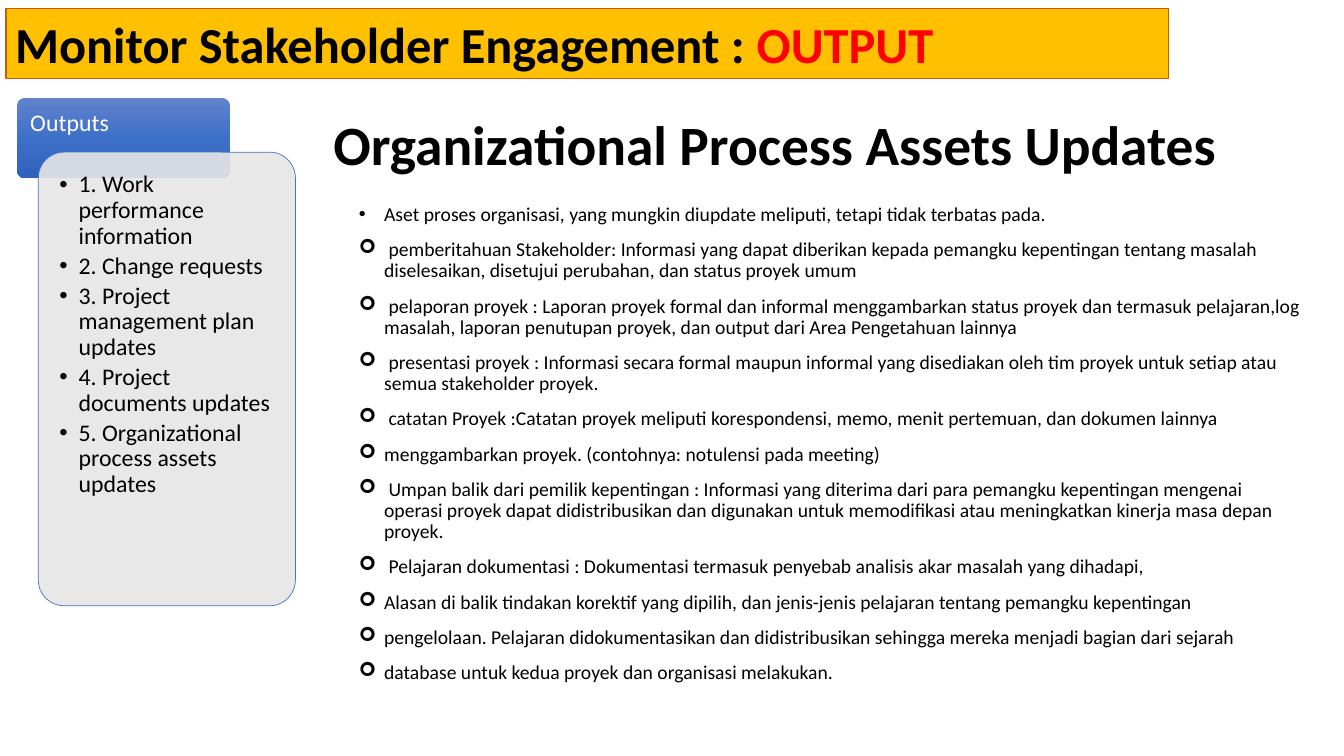
from copy import deepcopy
from dataclasses import dataclass, field
from typing import Any

from lxml import etree
from pptx import Presentation
from pptx.dml.color import RGBColor
from pptx.enum.shapes import MSO_SHAPE
from pptx.enum.text import MSO_ANCHOR, PP_ALIGN
from pptx.oxml.ns import qn
from pptx.util import Inches, Pt

RECT, ROUND = MSO_SHAPE.RECTANGLE, MSO_SHAPE.ROUNDED_RECTANGLE
TOP, MIDDLE = MSO_ANCHOR.TOP, MSO_ANCHOR.MIDDLE
LEFT, CENTER = PP_ALIGN.LEFT, PP_ALIGN.CENTER


@dataclass(frozen=True)
class Theme:
    face: str = "Calibri"
    ink: str = "000000"
    pale: str = "FFFFFF"
    alert: str = "FF0000"
    gold: str = "FFC000"
    rust: str = "C55A11"
    grey: str = "E7E6E6"
    blue: str = "4472C4"
    fade: tuple = ("6183CB", "3E70CA", "3062BB")
    banner: float = 36
    title: float = 39.6
    list: float = 17
    body: float = 14


THEME = Theme()
Box = tuple[float, float, float, float]


@dataclass(frozen=True)
class Panel:
    box: Box
    kind: Any
    fill: str | tuple
    line: str | None = None
    width: float = 0.75
    alpha: int = 100


@dataclass(frozen=True)
class Run:
    text: str
    color: str = THEME.ink


@dataclass(frozen=True)
class Para:
    runs: tuple[Run, ...]
    mark: str = ""


@dataclass(frozen=True)
class Block:
    box: Box
    inset: Box
    paras: list[Para]
    size: float
    bold: bool = False
    indent: float = 0
    before: float = 0
    anchor: Any = TOP
    form: dict = field(default_factory=dict)


def put(item: Any, values: dict) -> None:
    for name, value in values.items():
        setattr(item, name, value)


def draw_panel(slide: Any, panel: Panel) -> None:
    shape = slide.shapes.add_shape(panel.kind, *map(Inches, panel.box))
    shape.shadow.inherit = False
    if panel.kind == ROUND:
        shape.adjustments[0] = 0.1
    if isinstance(panel.fill, tuple):
        shape.fill.gradient()
        shape.fill.gradient_angle = 270
        first, last = shape.fill.gradient_stops
        # Middle stop, placed between the two given ones
        stops = shape._element.spPr.find(".//" + qn("a:gsLst"))
        stops.insert(1, deepcopy(stops[0]))
        for stop, color, place in zip(shape.fill.gradient_stops, panel.fill, (0, 0.5, 1)):
            stop.color.rgb = RGBColor.from_string(color)
            stop.position = place
    else:
        shape.fill.solid()
        shape.fill.fore_color.rgb = RGBColor.from_string(panel.fill)
        if panel.alpha < 100:
            tone = shape._element.spPr.find(".//" + qn("a:srgbClr"))
            etree.SubElement(tone, qn("a:alpha"), val=str(panel.alpha * 1000))
    if panel.line:
        shape.line.color.rgb = RGBColor.from_string(panel.line)
        shape.line.width = Pt(panel.width)
    else:
        shape.line.fill.background()


def add_mark(para: Any, mark: str, indent: float) -> None:
    props = para._p.get_or_add_pPr()
    props.set("marL", str(Inches(indent)))
    props.set("indent", str(-Inches(indent)))
    etree.SubElement(props, qn("a:buFont"), typeface="Arial" if mark == "•" else "Wingdings")
    etree.SubElement(props, qn("a:buChar"), char=mark)


def draw_block(slide: Any, block: Block) -> None:
    frame = slide.shapes.add_textbox(*map(Inches, block.box)).text_frame
    left, top, right, bottom = map(Inches, block.inset)
    put(frame, {"word_wrap": True, "vertical_anchor": block.anchor,
                "margin_left": left, "margin_top": top,
                "margin_right": right, "margin_bottom": bottom})
    for i, item in enumerate(block.paras):
        para = frame.paragraphs[0] if i == 0 else frame.add_paragraph()
        if item.mark:
            add_mark(para, item.mark, block.indent)
        put(para, {"alignment": LEFT, "line_spacing": 0.9} | block.form)
        if i and block.before:
            para.space_before = Pt(block.before)
        for part in item.runs:
            run = para.add_run()
            run.text = part.text
            put(run.font, {"name": THEME.face, "size": Pt(block.size), "bold": block.bold})
            run.font.color.rgb = RGBColor.from_string(part.color)


def bullets(lines: list[str], mark: str) -> list[Para]:
    return [Para((Run(line),), mark) for line in lines]


PANELS = [
    Panel((0.06, 0.08, 11.53, 0.7), RECT, THEME.gold, THEME.rust),
    Panel((0.17, 0.97, 2.11, 0.8), ROUND, THEME.fade),
    Panel((0.38, 1.51, 2.55, 4.5), ROUND, THEME.grey, THEME.blue, 0.5, 90),
]

OUTPUTS = [
    "1. Work performance information",
    "2. Change requests",
    "3. Project management plan updates",
    "4. Project documents updates",
    "5. Organizational process assets updates",
]

INTRO = ["Aset proses organisasi, yang mungkin diupdate meliputi, tetapi tidak terbatas pada."]
ASSETS = [
    " pemberitahuan Stakeholder: Informasi yang dapat diberikan kepada pemangku kepentingan tentang masalah diselesaikan, disetujui perubahan, dan status proyek umum",
    " pelaporan proyek : Laporan proyek formal dan informal menggambarkan status proyek dan termasuk pelajaran,log masalah, laporan penutupan proyek, dan output dari Area Pengetahuan lainnya",
    " presentasi proyek : Informasi secara formal maupun informal yang disediakan oleh tim proyek untuk setiap atau semua stakeholder proyek.",
    " catatan Proyek :Catatan proyek meliputi korespondensi, memo, menit pertemuan, dan dokumen lainnya",
    "menggambarkan proyek. (contohnya: notulensi pada meeting)",
    " Umpan balik dari pemilik kepentingan : Informasi yang diterima dari para pemangku kepentingan mengenai operasi proyek dapat didistribusikan dan digunakan untuk memodifikasi atau meningkatkan kinerja masa depan proyek.",
    " Pelajaran dokumentasi : Dokumentasi termasuk penyebab analisis akar masalah yang dihadapi,",
    "Alasan di balik tindakan korektif yang dipilih, dan jenis-jenis pelajaran tentang pemangku kepentingan",
    "pengelolaan. Pelajaran didokumentasikan dan didistribusikan sehingga mereka menjadi bagian dari sejarah",
    "database untuk kedua proyek dan organisasi melakukan.",
]

BLOCKS = [
    # Banner
    Block(PANELS[0].box, (0.09, 0.05, 0.09, 0.05),
          [Para((Run("Monitor Stakeholder Engagement : "), Run("OUTPUT", THEME.alert)))],
          THEME.banner, bold=True, form={"line_spacing": 1.0}),
    # Outputs card
    Block((0.17, 0.97, 2.11, 0.54), (0.13, 0.13, 0.13, 0.07),
          [Para((Run("Outputs", THEME.pale),))], THEME.list),
    Block((0.46, 1.58, 2.4, 4.35), (0.13,) * 4, bullets(OUTPUTS, "•"),
          THEME.list, indent=0.19, form={"space_after": Pt(3)}),
    # Process assets
    Block((3.56, 1.98, 9.35, 4.91), (0, 0.05, 0, 0.05),
          bullets(INTRO, "•") + bullets(ASSETS, "➢"),
          THEME.body, indent=0.25, before=10),
    # Heading
    Block((3.03, 1.1, 9.31, 0.72), (0.1, 0.05, 0.1, 0.05),
          [Para((Run("Organizational Process Assets Updates"),))],
          THEME.title, bold=True, anchor=MIDDLE, form={"alignment": CENTER}),
]


def main() -> None:
    deck = Presentation()
    put(deck, {"slide_width": Inches(13.33), "slide_height": Inches(7.5)})
    slide = deck.slides.add_slide(deck.slide_layouts[6])
    for panel in PANELS:
        draw_panel(slide, panel)
    for block in BLOCKS:
        draw_block(slide, block)
    deck.save("out.pptx")


if __name__ == "__main__":
    main()
